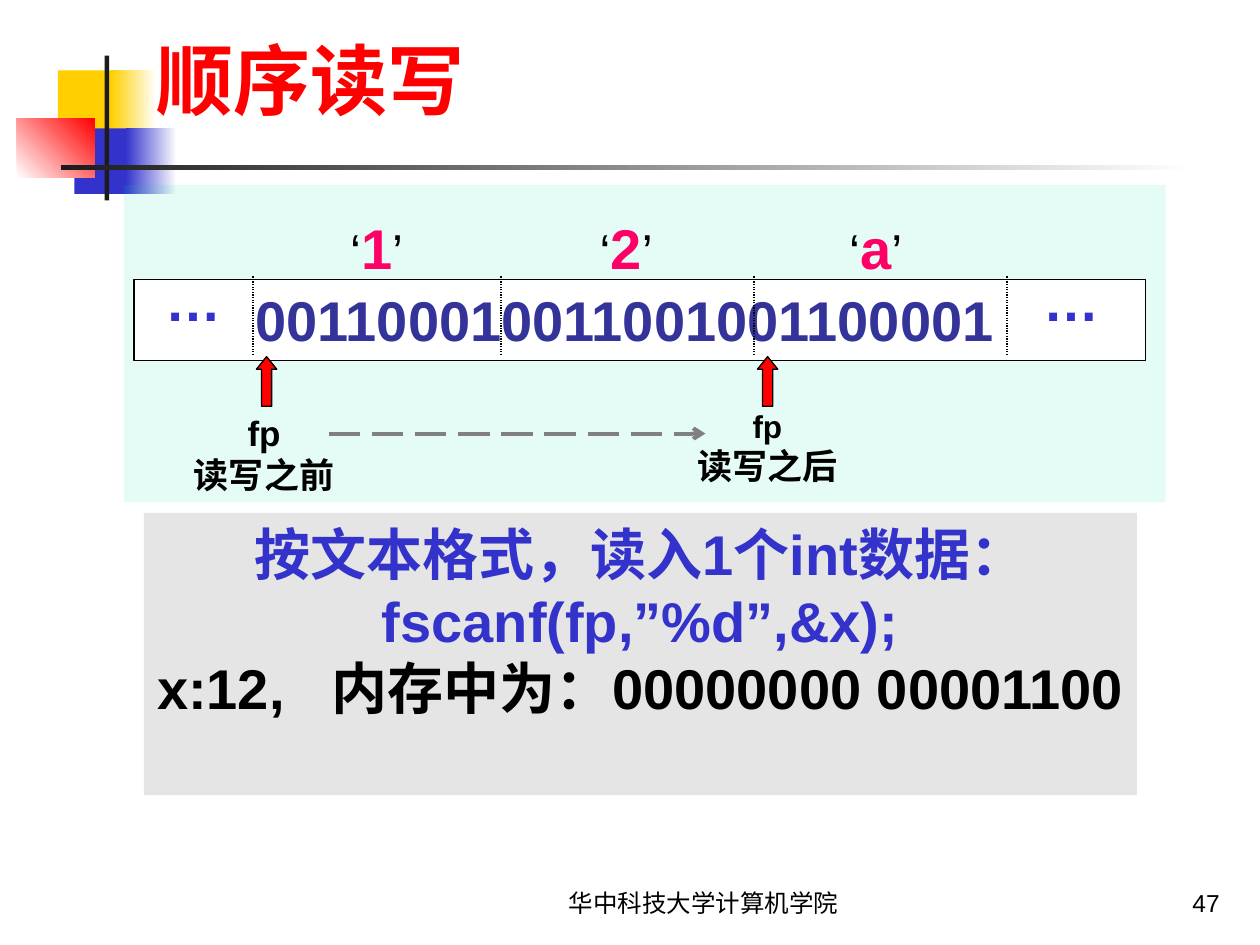
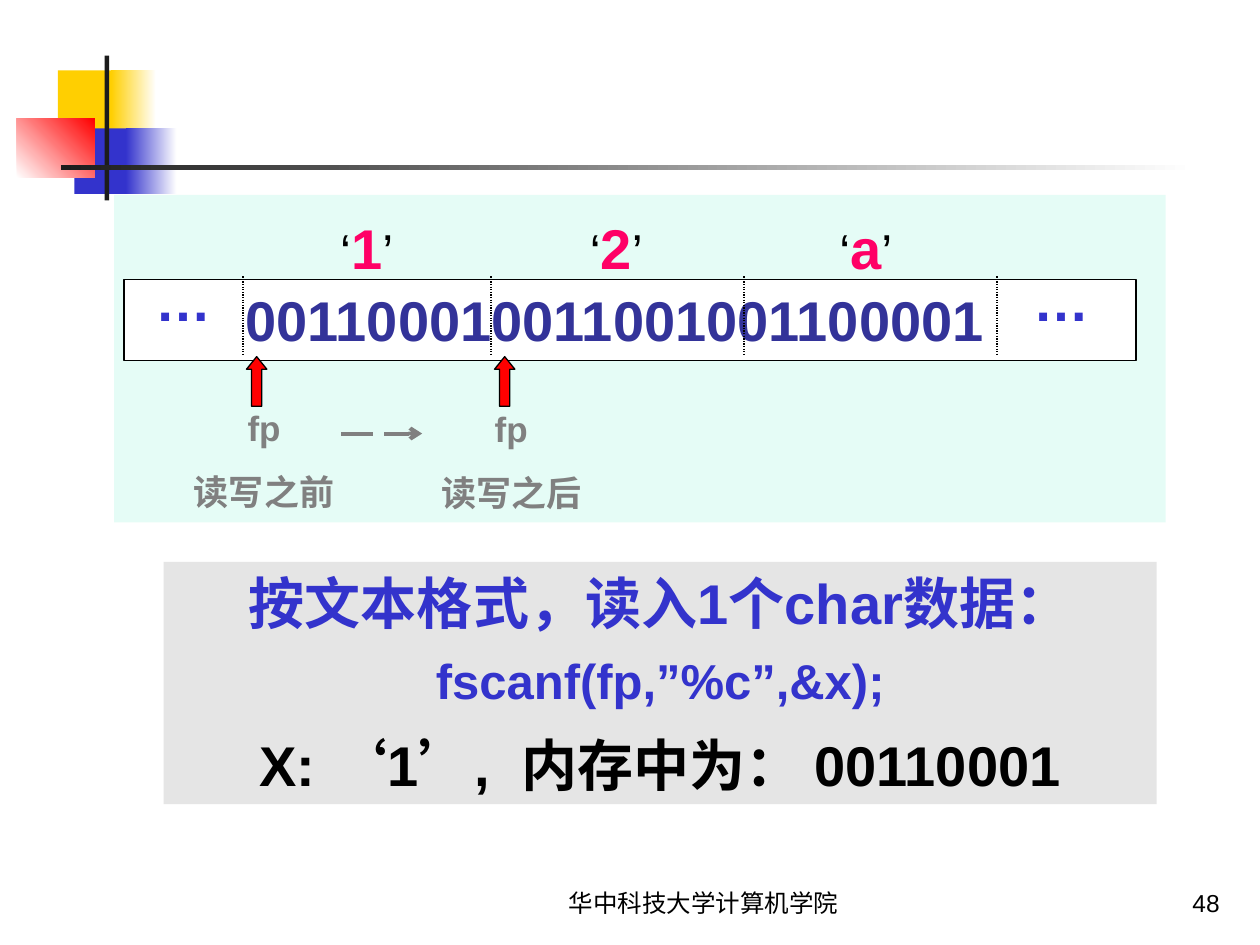
import pptx
import pptx.dml.color
import pptx.enum.dml
import pptx.enum.shapes
import pptx.enum.text
import pptx.oxml
import pptx.oxml.ns
import pptx.util

Cm = pptx.util.Cm
Pt = pptx.util.Pt
SHAPE = pptx.enum.shapes.MSO_SHAPE
ALIGN = pptx.enum.text.PP_ALIGN
ANCHOR = pptx.enum.text.MSO_ANCHOR
DASH = pptx.enum.dml.MSO_LINE

LATIN, EAST_ASIAN = "Arial", "Noto Sans CJK SC"
BLACK, WHITE, RED, BLUE = "000000", "FFFFFF", "FF0000", "3333CC"
YELLOW, DARK, GRAY, SILVER = "FFCF01", "1C1C1C", "808080", "C0C0C0"
MINT, INDIGO, PINK = "00E4A8", "333399", "FF0066"
FOOTER = "华中科技大学计算机学院"

# Corner ornament: left, top, width, height, start colour, end colour, angle
ORNAMENT = [
    (1.17, 1.42, 1.22, 1.32, YELLOW, None, 0),
    (2.24, 1.42, 0.91, 1.32, YELLOW, WHITE, 0),
    (1.5, 2.59, 1.17, 1.32, BLUE, None, 0),
    (2.54, 2.59, 1.02, 1.32, BLUE, WHITE, 0),
    (0.34, 2.39, 1.57, 1.19, WHITE, RED, 45),
    (2.11, 1.12, 0.09, 2.92, DARK, None, 0),
    (1.23, 3.33, 22.86, 0.09, DARK, WHITE, 0),
]
# Byte boundaries, measured from the left end of the file strip
BOUNDARIES = [2.4, 7.4, 12.5, 17.6]


def rgb(value):
    return pptx.dml.color.RGBColor.from_string(value)


def add_element(parent, tag, **attributes):
    element = pptx.oxml.parse_xml(
        f"<a:{tag} {pptx.oxml.ns.nsdecls('a')}/>")
    for key, value in attributes.items():
        element.set(key, str(value))
    parent.append(element)


class SlideBuilder:
    """Holds the deck, its style and the current page."""

    base = {"name": LATIN, "size": 32, "bold": True, "color": BLACK}

    def __init__(self):
        self.deck = pptx.Presentation()
        self.deck.slide_width, self.deck.slide_height = Cm(25.4), Cm(19.05)
        self.page = None

    def start(self, number, title=None):
        layout = self.deck.slide_layouts[5 if title else 6]
        self.page = self.deck.slides.add_slide(layout)
        for *place, start, end, angle in ORNAMENT:
            self.shape(place, start, end=end, angle=angle)
        if title:
            box = self.page.shapes.title
            box.left, box.top, box.width, box.height = map(
                Cm, (2.9, 0.71, 13.41, 1.93))
            self.set_text(box, [[(title, {})]], ALIGN.LEFT,
                          anchor=ANCHOR.BOTTOM, name=EAST_ASIAN, size=44,
                          color=RED)
        small = {"anchor": ANCHOR.BOTTOM, "size": 14, "bold": False}
        self.text((10.16, 17.35, 8.05, 1.27), [[(FOOTER, {})]], **small)
        self.text((19.56, 17.35, 5.28, 1.27), [[(str(number), {})]],
                  ALIGN.RIGHT, **small)

    def shape(self, place, fill, end=None, angle=0, alpha=None, line=None,
              kind=SHAPE.RECTANGLE):
        box = self.page.shapes.add_shape(kind, *map(Cm, place))
        box.shadow.inherit = False
        if end:
            box.fill.gradient()
            box.fill.gradient_angle = angle
            for stop, value in zip(box.fill.gradient_stops, (fill, end)):
                stop.color.rgb = rgb(value)
        else:
            box.fill.solid()
            box.fill.fore_color.rgb = rgb(fill)
        if alpha:
            solid = box.element.spPr.find(pptx.oxml.ns.qn("a:solidFill"))
            add_element(solid[0], "alpha", val=alpha * 1000)
        if line:
            box.line.color.rgb = rgb(line)
            box.line.width = Pt(0.75)
        else:
            box.line.fill.background()
        return box

    def text(self, place, paras, align=ALIGN.CENTER, **options):
        box = self.page.shapes.add_textbox(*map(Cm, place))
        self.set_text(box, paras, align, **options)

    def set_text(self, box, paras, align=ALIGN.CENTER, anchor=ANCHOR.TOP,
                 before=(), indent=0, **style):
        """Each para is a list of (text, format) spans."""
        frame = box.text_frame
        frame.word_wrap = True
        frame.auto_size = pptx.enum.text.MSO_AUTO_SIZE.NONE
        frame.vertical_anchor = anchor
        for index, spans in enumerate(paras):
            para = frame.add_paragraph() if index else frame.paragraphs[0]
            para.alignment = align
            if index and before:
                para.space_before = Pt(before[index - 1])
            if indent:
                para._p.get_or_add_pPr().set("marL", str(Cm(indent)))
            for words, changes in spans:
                self.span(para, words, {**self.base, **style, **changes})

    def span(self, para, words, values):
        span = para.add_run()
        span.text = words
        span.font.color.rgb = rgb(values["color"])
        formats = {"name": values["name"], "size": Pt(values["size"]),
                   "bold": values["bold"]}
        for key, value in formats.items():
            setattr(span.font, key, value)
        properties = span._r.get_or_add_rPr()
        add_element(properties, "ea", typeface=EAST_ASIAN)
        if "spacing" in values:
            properties.set("spc", str(values["spacing"] * 100))

    def line(self, start, end, color, width, dash, arrow=False):
        connector = self.page.shapes.add_connector(
            pptx.enum.shapes.MSO_CONNECTOR.STRAIGHT, *map(Cm, start + end))
        connector.line.color.rgb = rgb(color)
        connector.line.width = Pt(width)
        connector.line.dash_style = dash
        properties = connector.element.spPr
        if arrow:
            add_element(properties.find(pptx.oxml.ns.qn("a:ln")), "tailEnd",
                        type="arrow")
        add_element(properties, "effectLst")

    def caption(self, place, paras, before=()):
        box = self.shape(place, SILVER, alpha=40)
        self.set_text(box, paras, before=before, color=BLUE)

    def file_strip(self, panel, left, stop, travel):
        """File bytes, with pointers at the first boundary and at `stop`."""
        self.shape(panel, MINT, alpha=10)
        strip = self.shape((left, 5.64, 20.4, 1.63), WHITE, line=BLACK)
        self.set_text(strip, [[("001100010011001001100001", {})]], ALIGN.LEFT,
                      indent=2.2, color=INDIGO)
        for offset in (0.3, 18):
            self.text((left + offset, 5.23, 1.8, 1.63), [[("…", {})]],
                      color=BLUE)
        for boundary in BOUNDARIES:
            x = left + boundary
            self.line((x, 5.57), (x, 7.17), BLACK, 0.75, DASH.ROUND_DOT)
        for boundary in (BOUNDARIES[0], BOUNDARIES[stop]):
            pointer = self.shape((left + boundary + 0.07, 7.19, 0.41, 1), RED,
                                 line=BLACK, kind=SHAPE.UP_ARROW)
            pointer.adjustments[0], pointer.adjustments[1] = 0.5, 0.62
        quote = {"size": 28, "bold": False}
        for index, symbol in enumerate("12a"):
            self.text((left + 4.11 + 5.03 * index, 4.17, 1.8, 1.63),
                      [[("‘", quote), (symbol, {"color": PINK}), ("’", quote)]],
                      ALIGN.LEFT)
        self.line((travel[0], 8.74), (travel[1], 8.74), GRAY, 2.25,
                  DASH.LONG_DASH, arrow=True)

    def pointer_label(self, place, words, size=20, **options):
        self.text(place, [[("fp", {"size": size})], [(words, {})]],
                  size=20, **options)


def main():
    builder = SlideBuilder()
    black = {"color": BLACK}

    # Reading an int
    builder.start(47, "顺序读写")
    builder.caption((2.9, 10.34, 20.02, 5.69), [
        [("按文本格式，读入1个int数据：", {})],
        [("fscanf(fp,”%d”,&x);", {})],
        [("x:12,", black), (" ", {"spacing": 18}),
         ("内存中为：00000000 00001100", black)],
    ])
    builder.file_strip((2.5, 3.73, 21, 6.4), 2.7, 2, (6.63, 14.22))
    builder.pointer_label((2.9, 8.18, 4.85, 1.96), "读写之前")
    builder.pointer_label((12.7, 8.08, 5.54, 1.88), "读写之后", size=18)

    # Reading a char
    builder.start(48)
    builder.caption((3.3, 11.33, 20.02, 4.88), [
        [("按文本格式，读入1个char数据：", {})],
        [("fscanf(fp,”%c”,&x);", {"size": 28})],
        [("X: ‘1’,", black), (" ", {"spacing": 9}),
         ("内存中为： 00110001", black)],
    ], before=(8.8, 12))
    builder.file_strip((2.3, 3.93, 21.2, 6.6), 2.5, 1, (6.88, 8.51))
    faded = {"before": (12.5,), "color": GRAY}
    builder.pointer_label((3.1, 8.08, 4.45, 2.39), "读写之前", **faded)
    builder.pointer_label((8.31, 8.1, 3.99, 2.39), "读写之后", **faded)

    builder.deck.save("out.pptx")


if __name__ == "__main__":
    main()
